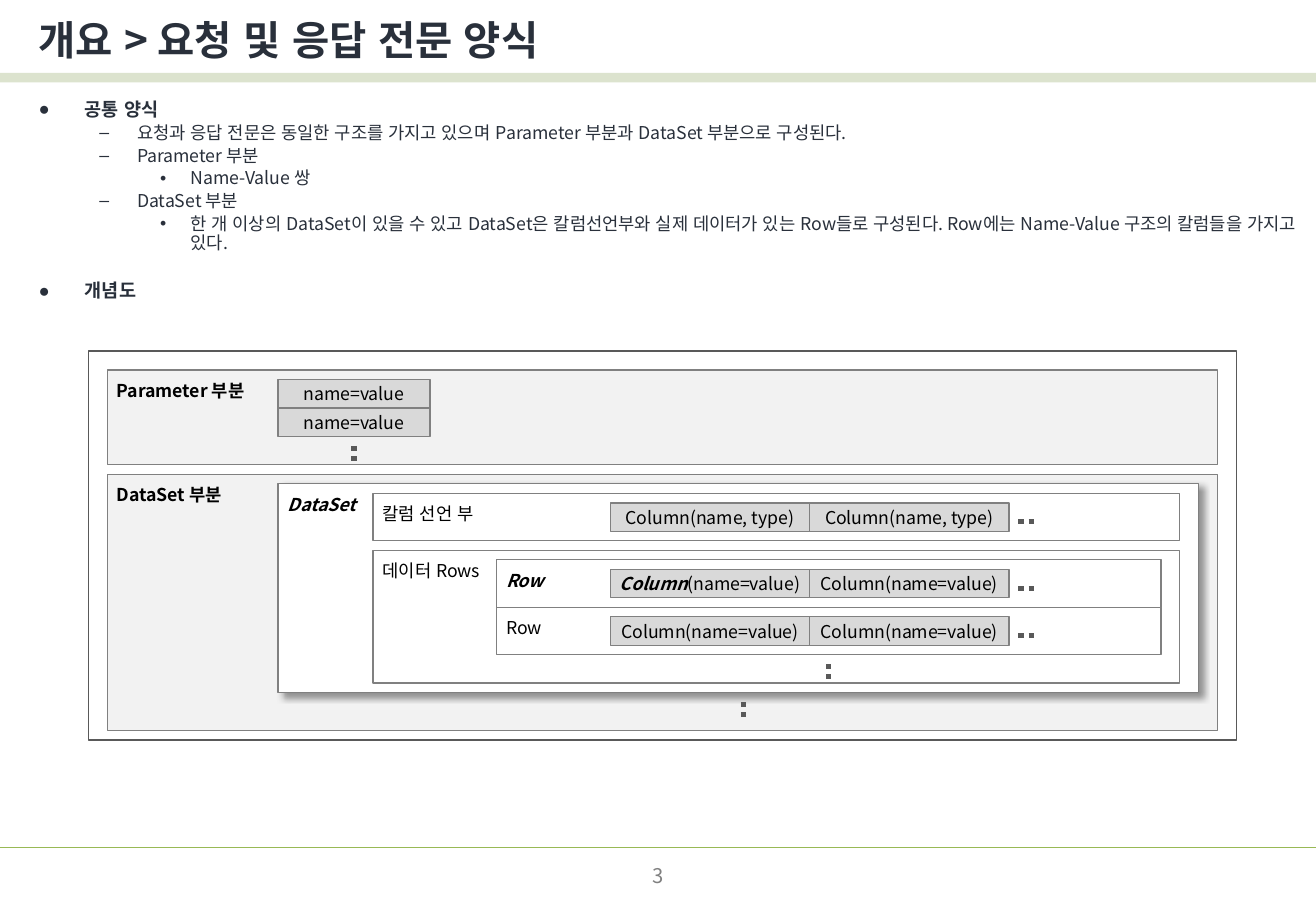
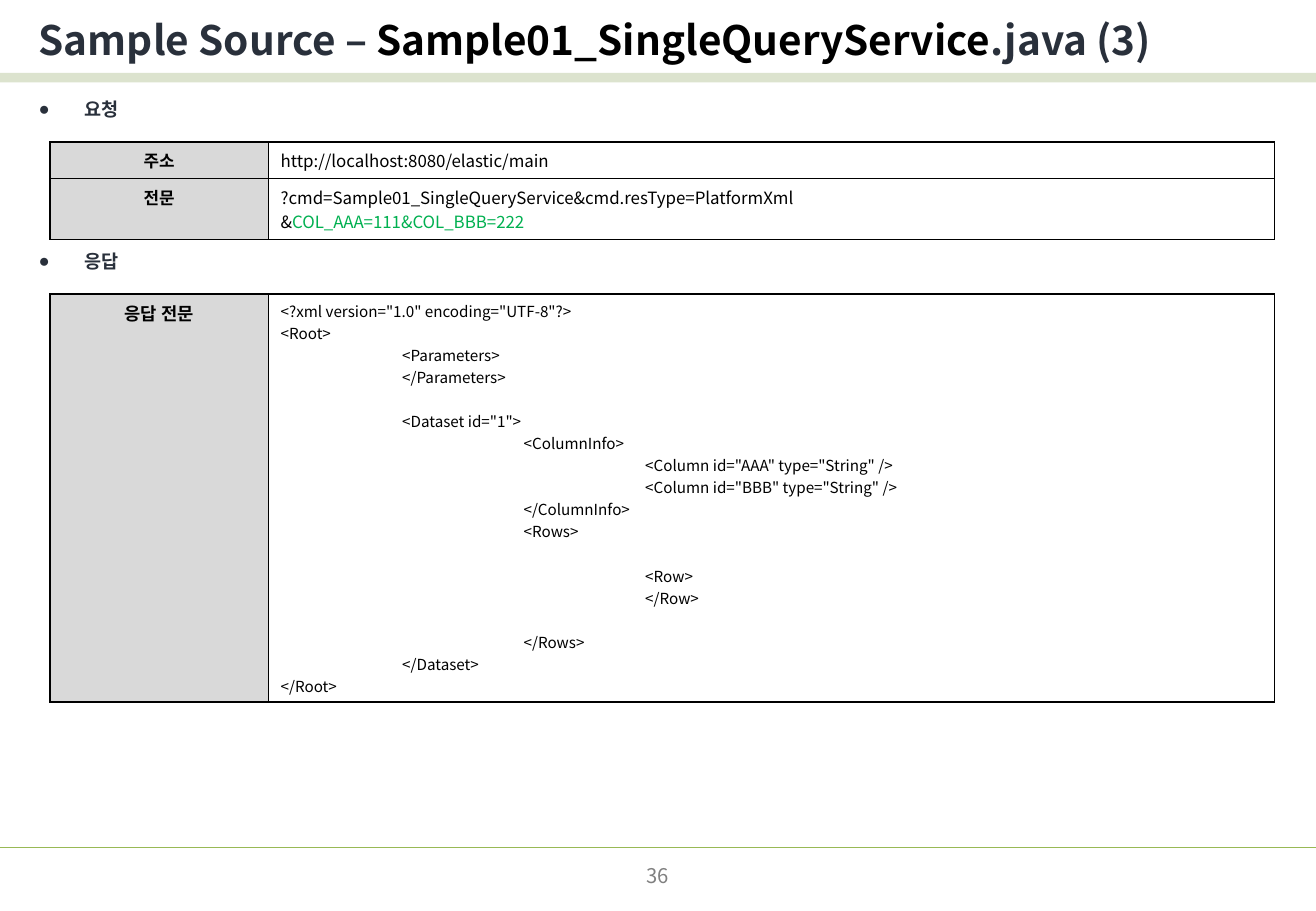
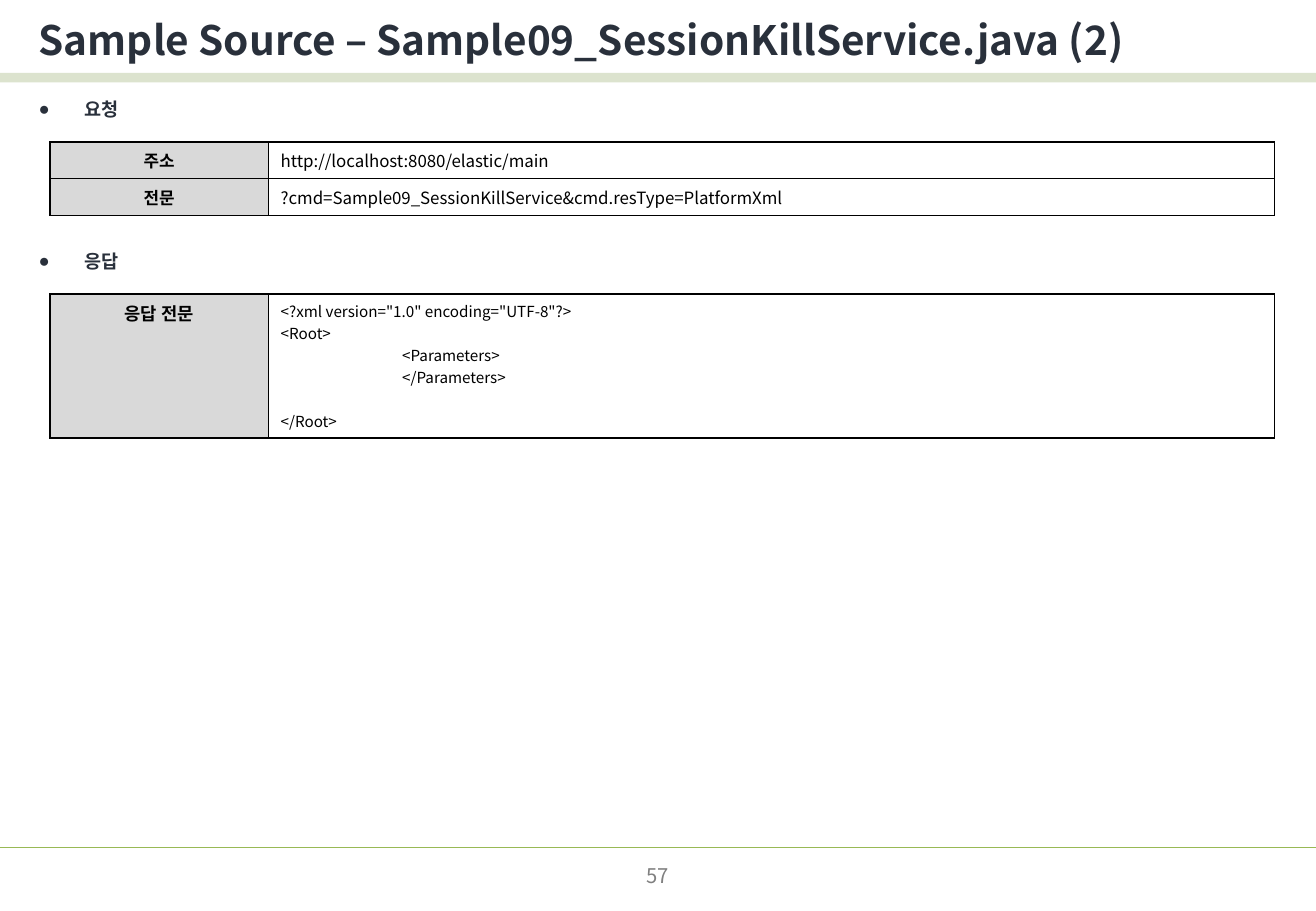
from lxml import etree
from pptx import Presentation
from pptx.dml.color import RGBColor
from pptx.enum import dml, shapes, text
from pptx.oxml.ns import qn
from pptx.util import Inches, Pt

INK = RGBColor(0x29, 0x30, 0x3B)
BLACK = RGBColor(0, 0, 0)
WHITE = RGBColor(255, 255, 255)
PALE = RGBColor(0xF2, 0xF2, 0xF2)
SILVER = RGBColor(0xD9, 0xD9, 0xD9)
GRAY = RGBColor(0x80, 0x80, 0x80)
DARK = RGBColor(0x59, 0x59, 0x59)
OLIVE = RGBColor(0x77, 0x93, 0x3C)
LEAF = RGBColor(0x98, 0xB9, 0x55)
GREEN = RGBColor(0x00, 0xB0, 0x50)
FONT = "Noto Sans CJK KR"
WIDE, HIGH = Inches(10.83), Inches(7.5)
LEFT = Inches(0.22)
UNIT = Inches(5) / 64
MID = text.MSO_ANCHOR.MIDDLE
CENTER = text.PP_ALIGN.CENTER
LEVELS = [("●", 0.38, -0.38), ("–", 0.81, -0.31), ("•", 1.25, -0.25)]


def add(node, tag, **attrs):
    return etree.SubElement(node, qn(tag), {k: str(v) for k, v in attrs.items()})


def write(frame, paras, align=None, **style):
    base = dict(size=10.5, color=BLACK, bold=False, ital=False, face=FONT) | style
    for i, runs in enumerate(paras):
        para = frame.paragraphs[0] if i == 0 else frame.add_paragraph()
        para.alignment = align
        if not runs:
            end = add(para._p, "a:endParaRPr", lang="ko-KR", sz=int(base["size"] * 100))
            for tag in ("a:latin", "a:ea"):
                add(end, tag, typeface=base["face"])
            continue
        for words, own in [(runs, {})] if isinstance(runs, str) else runs:
            look = base | own
            run = para.add_run()
            run.text = words
            font = run.font
            font.size, font.bold, font.italic = Pt(look["size"]), look["bold"], look["ital"]
            font.color.rgb = look["color"]
            font.name = look["face"]
            run._r.rPr.set("lang", "ko-KR")
            add(run._r.rPr, "a:ea", typeface=FONT)


def fit(frame, pads, anchor=text.MSO_ANCHOR.TOP):
    frame.word_wrap = True
    frame.vertical_anchor = anchor
    (frame.margin_left, frame.margin_top,
     frame.margin_right, frame.margin_bottom) = map(Inches, pads)
    return frame


def panel(slide, box, fill=None, line=None):
    shape = slide.shapes.add_shape(shapes.MSO_SHAPE.RECTANGLE, *map(int, box))
    shape.shadow.inherit = False
    if fill is None:
        shape.fill.background()
    else:
        shape.fill.solid()
        shape.fill.fore_color.rgb = fill
    if line is None:
        shape.line.fill.background()
    else:
        shape.line.color.rgb = line
        shape.line.width = Pt(0.75)
    return shape


def rule(slide, ends, color, width, dash=None):
    line = slide.shapes.add_connector(shapes.MSO_CONNECTOR.STRAIGHT, *map(int, ends))
    line.line.color.rgb = color
    line.line.width = Pt(width)
    if dash:
        line.line.dash_style = dash
    add(line._element.spPr, "a:effectLst")


def label(slide, box, paras, anchor=MID, **style):
    area = slide.shapes.add_textbox(*map(int, box))
    frame = fit(area.text_frame, (0.1, 0.05, 0.1, 0.05), anchor)
    write(frame, paras, **style)
    return frame


def page(deck, title, number):
    slide = deck.slides.add_slide(deck.slide_layouts[6])
    rule(slide, (0, HIGH * 0.93, WIDE, HIGH * 0.93), LEAF, 0.75)
    band = panel(slide, (0, HIGH * 0.08, WIDE, UNIT), OLIVE)
    add(band.fill._xPr.find(qn("a:solidFill"))[0], "a:alpha", val=25000)
    label(slide, (LEFT, HIGH * 0.008, WIDE - LEFT, HIGH * 0.07), [title],
          size=24, color=INK, bold=True)
    label(slide, (WIDE * 0.383, HIGH * 0.941, WIDE * 0.234, HIGH * 0.039),
          [str(number)], size=12, color=GRAY, align=CENTER)
    return slide


def bullets(slide, items, face=FONT):
    paras = [[(words, dict(size=10.5 if level else 11, bold=not level))]
             for level, words, gap in items]
    frame = label(slide, (LEFT, HIGH * 0.104, WIDE - LEFT, HIGH * 0.19), paras,
                  anchor=text.MSO_ANCHOR.TOP, color=INK, face=face)
    for i, (para, (level, words, gap)) in enumerate(zip(frame.paragraphs, items)):
        mark, left, hang = LEVELS[level]
        para.level = level
        para.line_spacing = 0.9
        para.space_before = Pt(gap if i else 0)
        props = para._p.get_or_add_pPr()
        props.set("marL", str(Inches(left)))
        props.set("indent", str(Inches(hang)))
        add(props, "a:buFont", typeface="Arial")
        add(props, "a:buChar", char=mark)


def diagram(slide, left, top):
    def span(col, row, wide, high):
        return left + col * UNIT, top + row * UNIT, wide * UNIT, high * UNIT

    def group(box, name, fill=None, **style):
        shape = panel(slide, span(*box), fill, GRAY)
        write(fit(shape.text_frame, (0.08, 0.08, 0.08, 0.04)), [name],
              align=text.PP_ALIGN.LEFT, **style)
        return shape

    def chip(col, row, wide, words):
        shape = panel(slide, span(col, row, wide, 3), SILVER, GRAY)
        write(fit(shape.text_frame, (0, 0, 0, 0), MID), [words], align=CENTER)

    def dots(col, row, wide, high):
        x, y, w, h = span(col, row, wide, high)
        rule(slide, (x, y, x + w, y + h), DARK, 3, dml.MSO_LINE.ROUND_DOT)

    def pair(row, first, second):
        chip(55, row, 21, first)
        chip(76, row, 21, second)
        dots(98, row + 2, 2, 0)

    strong = dict(bold=True, ital=True)
    panel(slide, span(0, 0, 121, 41), line=DARK)
    group((2, 2, 117, 10), "Parameter 부분", PALE, bold=True)
    for row in (3, 6):
        chip(20, row, 16, "name=value")
    dots(28, 10, 0, 2)

    group((2, 13, 117, 27), "DataSet 부분", PALE, bold=True)
    card = group((20, 14, 97, 22), "DataSet", WHITE, **strong)
    glow = add(card._element.spPr.find(qn("a:effectLst")), "a:outerShdw",
               blurRad=Pt(4), dist=Pt(3), dir=45 * 60000, algn="tl", rotWithShape=0)
    add(add(glow, "a:srgbClr", val=BLACK), "a:alpha", val=40000)
    dots(69, 37, 0, 2)

    group((30, 15, 85, 5), "칼럼 선언 부")
    pair(16, *["Column(name, type)"] * 2)
    group((30, 21, 85, 14), "데이터 Rows")
    value = "Column(name=value)"
    group((43, 22, 70, 5), "Row", **strong)
    pair(23, [("Column", strong), ("(name=value)", {})], value)
    group((43, 27, 70, 5), "Row")
    pair(28, value, value)
    dots(78, 33, 0, 2)


def grid(slide, top, rows, head, body):
    highs = [Inches(0.1) + Pt(body * 1.45 * len(paras)) for name, paras in rows]
    cols = [Inches(1.8), Inches(8.28)]
    table = slide.shapes.add_table(len(rows), 2, Inches(0.41), int(top),
                                   sum(cols), int(sum(highs))).table
    table.first_row = table.horz_banding = False
    for col, wide in zip(table.columns, cols):
        col.width = wide
    for row, high, (name, paras) in zip(table.rows, highs, rows):
        row.height = int(high)
        key, val = row.cells
        for cell in (key, val):
            props = cell._tc.get_or_add_tcPr()
            for side in "LRTB":
                edge = add(props, "a:ln" + side, w=Pt(1))
                add(add(edge, "a:solidFill"), "a:srgbClr", val=BLACK)
        key.fill.solid()
        key.fill.fore_color.rgb = SILVER
        val.fill.background()
        write(key.text_frame, [name], size=head, bold=True, face="Arial", align=CENTER)
        write(val.text_frame, paras, size=body)
        for para in val.text_frame.paragraphs:
            tabs = add(para._p.get_or_add_pPr(), "a:tabLst")
            for stop in (1, 2, 3):
                add(tabs, "a:tab", pos=Inches(stop), algn="l")


def sample(deck, title, number, query, reply):
    slide = page(deck, title, number)
    bullets(slide, [(0, "요청", 0), (0, "응답", 78)], "Arial")
    address = ["http://localhost:8080/elastic/main"]
    grid(slide, HIGH * 0.156, [("주소", address), ("전문", query)], 10, 10)
    grid(slide, HIGH * 0.3225, [("응답 전문", reply.split("\n"))], 10.5, 9)


def outline(deck):
    slide = page(deck, "개요 > 요청 및 응답 전문 양식", 3)
    bullets(slide, [
        (0, "공통 양식", 0),
        (1, "요청과 응답 전문은 동일한 구조를 가지고 있으며 Parameter 부분과 DataSet 부분으로 구성된다.", 2.1),
        (1, "Parameter 부분", 2.1),
        (2, "Name-Value 쌍", 2.1),
        (1, "DataSet 부분", 2.1),
        (2, "한 개 이상의 DataSet이 있을 수 있고 DataSet은 칼럼선언부와 실제 데이터가 있는 Row들로 구성된다. "
            "Row에는 Name-Value 구조의 칼럼들을 가지고 있다.", 2.1),
        (0, "개념도", 17),
    ])
    diagram(slide, WIDE * 0.067, Inches(2.89))


START = """<?xml version="1.0" encoding="UTF-8"?>
<Root>
\t<Parameters>
\t</Parameters>

"""
DATA = """\t<Dataset id="1">
\t\t<ColumnInfo>
\t\t\t<Column id="AAA" type="String" />
\t\t\t<Column id="BBB" type="String" />
\t\t</ColumnInfo>
\t\t<Rows>

\t\t\t<Row>
\t\t\t</Row>

\t\t</Rows>
\t</Dataset>
"""
END = "</Root>"


def main():
    deck = Presentation()
    deck.slide_width, deck.slide_height = WIDE, HIGH
    outline(deck)
    sample(deck, [("Sample Source – ", {}),
                  ("Sample01_SingleQueryService", dict(color=BLACK)),
                  (".java (3)", {})], 36,
           ["?cmd=Sample01_SingleQueryService&cmd.resType=PlatformXml",
            [("&", {}), ("COL_AAA=111&COL_BBB=222", dict(color=GREEN))]],
           START + DATA + END)
    sample(deck, "Sample Source – Sample09_SessionKillService.java (2)", 57,
           ["?cmd=Sample09_SessionKillService&cmd.resType=PlatformXml"],
           START + END)
    deck.save("out.pptx")


if __name__ == "__main__":
    main()
